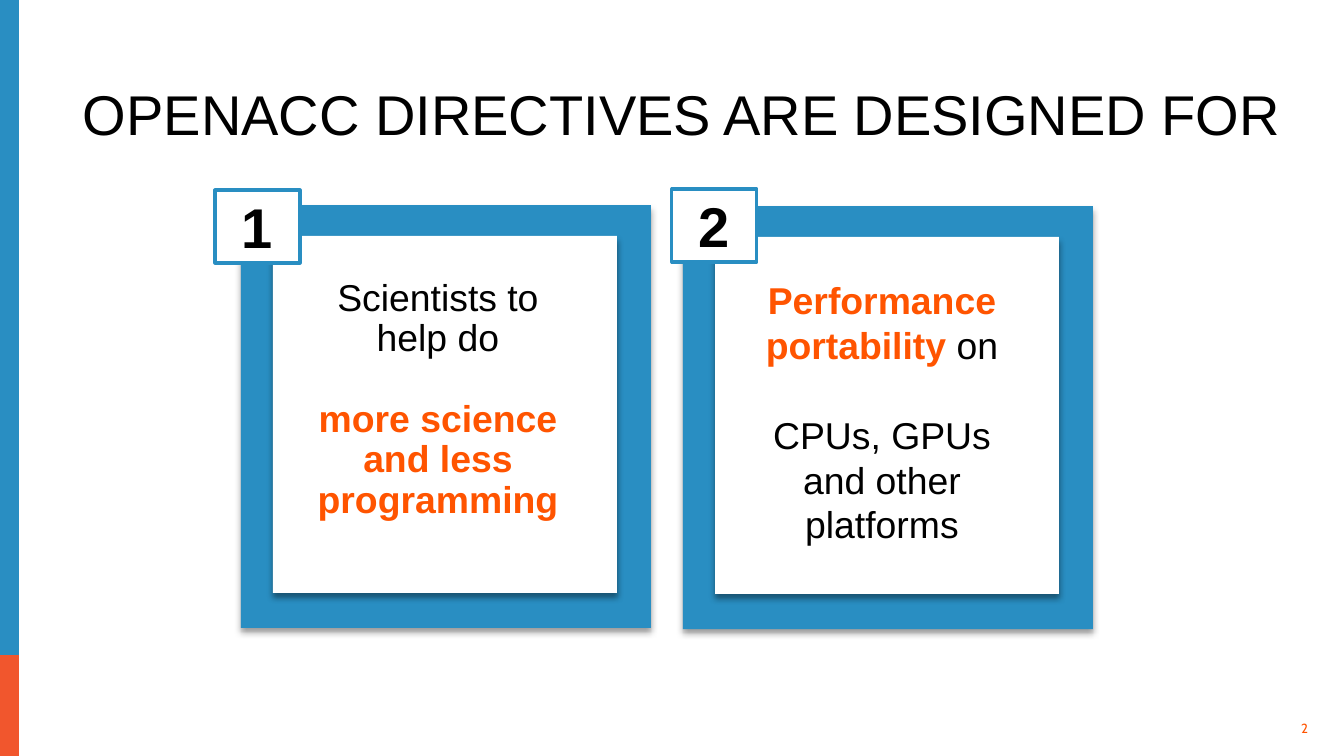
from dataclasses import dataclass

import lxml.etree
import pptx
import pptx.dml.color
import pptx.enum.shapes
import pptx.enum.text
import pptx.oxml.ns
import pptx.util

PX = 914400 // 112
BLUE, RED, ORANGE = "298EC2", "F1562D", "FF5400"
BLACK, WHITE = "000000", "FFFFFF"
ALIGN = pptx.enum.text.PP_ALIGN
ANCHOR = pptx.enum.text.MSO_ANCHOR


@dataclass
class Box:
    x: int
    y: int
    w: int
    h: int

    def emu(self) -> list[int]:
        return [v * PX for v in (self.x, self.y, self.w, self.h)]


@dataclass
class Run:
    text: str
    strong: bool = False


@dataclass
class Card:
    number: str
    x: int
    y: int
    badge: Box
    text: Box
    spacing: float
    gap: int
    paragraphs: list[list[Run]]


def rgb(color: str) -> pptx.dml.color.RGBColor:
    return pptx.dml.color.RGBColor.from_string(color)


def style(font, size: float, color: str, bold: bool = False, name: str = "Arial") -> None:
    font.name = name
    font.size = pptx.util.Pt(size)
    font.bold = bold
    font.color.rgb = rgb(color)


def add_rect(s, box: Box, fill: str, line: str = ""):
    sp = s.shapes.add_shape(pptx.enum.shapes.MSO_SHAPE.RECTANGLE, *box.emu())
    sp.shadow.inherit = False
    sp.fill.solid()
    sp.fill.fore_color.rgb = rgb(fill)
    if line:
        sp.line.color.rgb = rgb(line)
        sp.line.width = pptx.util.Pt(2)
    else:
        sp.line.fill.background()
    return sp


def add_shadow(sp) -> None:
    qn = pptx.oxml.ns.qn
    effects = sp._element.spPr.find(qn("a:effectLst"))
    shadow = lxml.etree.SubElement(
        effects, qn("a:outerShdw"), blurRad="50800", dist="38100", dir="5400000", rotWithShape="0"
    )
    color = lxml.etree.SubElement(shadow, qn("a:srgbClr"), val=BLACK)
    lxml.etree.SubElement(color, qn("a:alpha"), val="40000")


def add_frame(s, card: Card) -> None:
    add_shadow(add_rect(s, Box(card.x, card.y, 410, 423), BLUE))
    add_shadow(add_rect(s, Box(card.x + 32, card.y + 31, 344, 357), WHITE))


def add_card_text(s, card: Card) -> None:
    tf = s.shapes.add_textbox(*card.text.emu()).text_frame
    tf.word_wrap = True
    tf.vertical_anchor = ANCHOR.MIDDLE
    tf.margin_bottom = 46 * PX
    for i, runs in enumerate(card.paragraphs):
        p = tf.add_paragraph() if i else tf.paragraphs[0]
        p.alignment = ALIGN.CENTER
        p.line_spacing = card.spacing
        if i:
            p.space_before = pptx.util.Pt(card.gap)
        for run in runs:
            r = p.add_run()
            r.text = run.text
            style(r.font, 24, ORANGE if run.strong else BLACK, run.strong)


def add_badge(s, card: Card) -> None:
    tf = add_rect(s, card.badge, WHITE, BLUE).text_frame
    tf.vertical_anchor = ANCHOR.MIDDLE
    p = tf.paragraphs[0]
    p.text = card.number
    p.alignment = ALIGN.CENTER
    style(p.font, 36, BLACK, True)


def add_title(s, text: str) -> None:
    sp = s.shapes.title
    sp.left, sp.top, sp.width, sp.height = Box(52, 80, 1260, 73).emu()
    tf = sp.text_frame
    tf.vertical_anchor = ANCHOR.BOTTOM
    p = tf.paragraphs[0]
    p.text = text
    p.alignment = ALIGN.CENTER
    p.line_spacing = 0.9
    style(p.font, 36, BLACK)


def add_slide_number(s, text: str) -> None:
    tf = s.shapes.add_textbox(*Box(1268, 718, 40, 20).emu()).text_frame
    tf.margin_left = tf.margin_right = tf.margin_top = tf.margin_bottom = 0
    tf.vertical_anchor = ANCHOR.MIDDLE
    p = tf.paragraphs[0]
    p.text = text
    p.alignment = ALIGN.RIGHT
    style(p.font, 8.5, ORANGE, name="Cabin")


CARDS = [
    Card("1", 241, 205, Box(215, 190, 85, 73), Box(304, 272, 268, 297), 0.9, 26,
         [[Run("Scientists to help do")],
          [Run("more science and less programming", True)]]),
    Card("2", 683, 206, Box(672, 189, 85, 73), Box(748, 270, 268, 324), 1.0, 29,
         [[Run("Performance portability ", True), Run("on")],
          [Run("CPUs, GPUs and other platforms")]]),
]


def main() -> None:
    prs = pptx.Presentation()
    prs.slide_width, prs.slide_height = 1344 * PX, 756 * PX
    s = prs.slides.add_slide(prs.slide_layouts[5])
    add_title(s, "OPENACC DIRECTIVES ARE DESIGNED FOR")
    add_rect(s, Box(0, 655, 19, 101), RED)
    add_rect(s, Box(0, 0, 19, 655), BLUE)
    add_slide_number(s, "2")
    for card in CARDS:
        add_frame(s, card)
        add_card_text(s, card)
    for card in CARDS:
        add_badge(s, card)
    prs.save("out.pptx")


if __name__ == "__main__":
    main()
